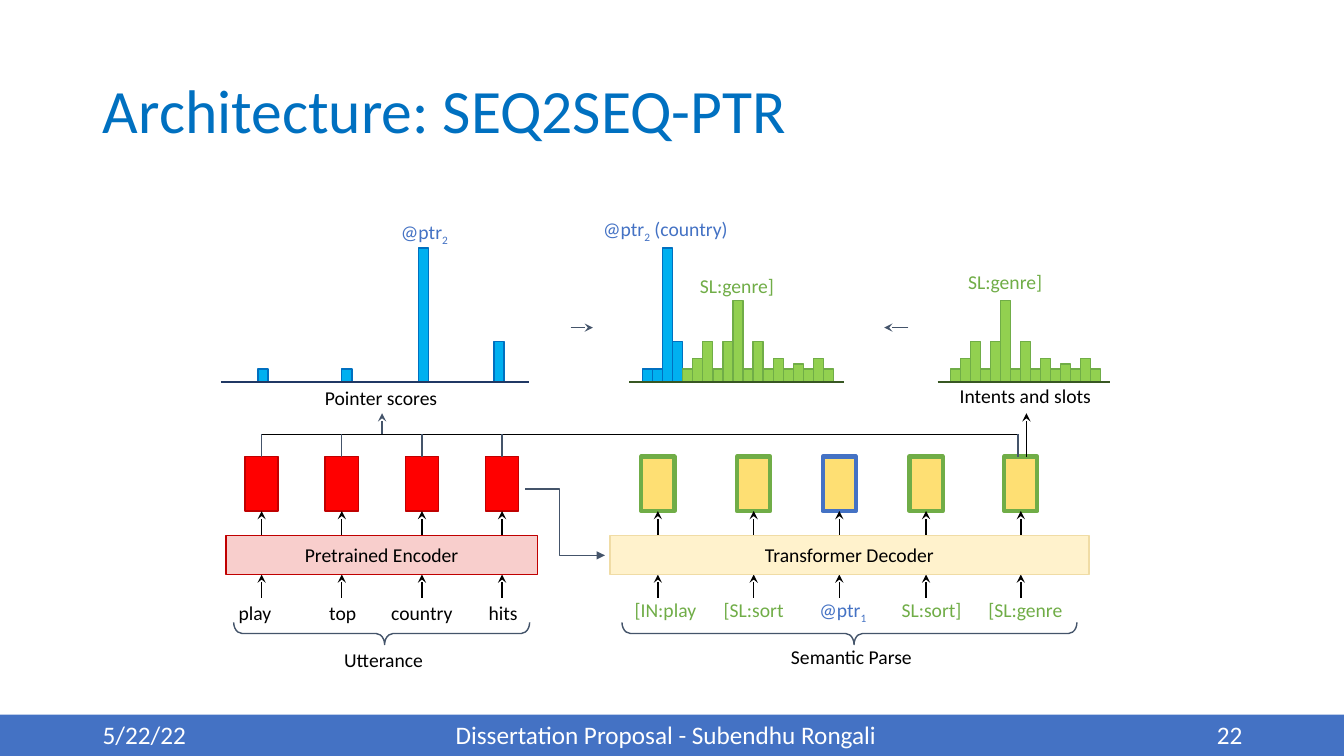
from dataclasses import dataclass

import pptx
import pptx.util
import pptx.dml.color
import pptx.enum.shapes
import pptx.enum.text
import pptx.oxml
import pptx.oxml.ns

SHAPES = pptx.enum.shapes.MSO_SHAPE
LINES = pptx.enum.shapes.MSO_CONNECTOR
ALIGN = pptx.enum.text.PP_ALIGN
ANCHOR = pptx.enum.text.MSO_ANCHOR


@dataclass(frozen=True)
class Theme:
    """Colours, font and type sizes of the slide."""
    font: str = "Calibri"
    title_size: int = 44
    footer_size: int = 18
    label_size: int = 14
    title: str = "0070C0"
    band: str = "4472C4"
    white: str = "FFFFFF"
    black: str = "000000"
    slate: str = "44546A"
    green: str = "70AD47"
    blue: str = "4472C4"
    pointer: tuple = ("00B0F0", "0070C0")
    vocabulary: tuple = ("92D050", "70AD47")
    encoder: tuple = ("F8CECC", "C00000")
    decoder: tuple = ("FFF2CC", "F0DCA5")
    encoder_state: str = "FF0000"
    decoder_state: str = "FEDF73"
    pointer_axis: str = "203864"
    vocabulary_axis: str = "385723"


@dataclass(frozen=True)
class Box:
    """A region in grid cells of a tenth of an inch."""
    left: float
    top: float
    width: float
    height: float

    @property
    def right(self):
        """Return the right edge."""
        return self.left + self.width

    @property
    def bottom(self):
        """Return the bottom edge."""
        return self.top + self.height

    def lengths(self):
        """Return left, top, width and height as slide lengths."""
        return [cells(n) for n in (self.left, self.top, self.width, self.height)]


THEME = Theme()
STATE_WIDTH, STATE_HEIGHT = 3.3, 5.4
WIRE = 43.1
VOCABULARY_SCORES = [1.3, 2.3, 4, 1.3, 4, 8.1, 1.3, 4, 1.3, 2.3, 1.3, 1.8, 1.3, 2.3, 1.3]
POINTER_SCORES = [1.3, 1.3, 13.3, 4]


def cells(count):
    """Convert grid cells to a slide length."""
    return pptx.util.Inches(count / 10)


def rgb(code):
    """Convert a hex code to a colour."""
    return pptx.dml.color.RGBColor.from_string(code)


def style(para, size, color, align=ALIGN.LEFT):
    """Format a whole paragraph."""
    para.alignment = align
    para.font.name = THEME.font
    para.font.size = pptx.util.Pt(size)
    para.font.color.rgb = rgb(color)


def shape(page, kind, box, fill, line, weight=1):
    """Draw a preset shape with an optional fill and outline."""
    item = page.shapes.add_shape(kind, *box.lengths())
    item.shadow.inherit = False
    for part, color in ((item.fill, fill), (item.line.fill, line)):
        if color:
            part.solid()
            part.fore_color.rgb = rgb(color)
        else:
            part.background()
    item.line.width = pptx.util.Pt(weight)
    return item


def connect(page, start, end, color, head=None, kind=LINES.STRAIGHT, joint=None):
    """Draw a connector, with an arrowhead at its end or a joined side if given."""
    line = page.shapes.add_connector(kind, *[cells(n) for n in (*start, *end)])
    line.line.color.rgb = rgb(color)
    line.line.width = pptx.util.Pt(1)
    if joint:
        line.end_connect(*joint)
    if head:
        tail = pptx.oxml.parse_xml(f'<a:tailEnd {pptx.oxml.ns.nsdecls("a")} type="{head}"/>')
        line.line._get_or_add_ln().append(tail)
    effects = pptx.oxml.parse_xml(f'<a:effectLst {pptx.oxml.ns.nsdecls("a")}/>')
    line._element.spPr.append(effects)
    return line


def label(page, centre, top, text, color=THEME.black, width=16):
    """Write a centred label; the character after an underscore is a subscript."""
    box = page.shapes.add_textbox(*Box(centre - width / 2, top, width, 3.4).lengths())
    frame = box.text_frame
    frame.word_wrap = True
    frame.margin_left = frame.margin_right = 0
    para = frame.paragraphs[0]
    style(para, THEME.label_size, color, ALIGN.CENTER)
    base, _, rest = text.partition("_")
    for part, offset in ((base, 0), (rest[:1], -25000), (rest[1:], 0)):
        if part:
            span = para.add_run()
            span.text = part
            if offset:
                span._r.get_or_add_rPr().set("baseline", str(offset))


def heading(page, box, text):
    """Fill and place the title."""
    title = page.shapes.title
    title.left, title.top, title.width, title.height = box.lengths()
    title.text_frame.text = text
    title.text_frame.vertical_anchor = ANCHOR.MIDDLE
    para = title.text_frame.paragraphs[0]
    para.line_spacing = 0.9
    style(para, THEME.title_size, THEME.title)


def footer(page, box, parts):
    """Draw the footer band and its texts."""
    shape(page, SHAPES.RECTANGLE, box, THEME.band, None)
    for left, width, text, align in parts:
        place = Box(box.left + left, box.top, width, 4)
        frame = page.shapes.add_textbox(*place.lengths()).text_frame
        frame.word_wrap = True
        frame.text = text
        style(frame.paragraphs[0], THEME.footer_size, THEME.white, align)


def histogram(page, box, bars, axis):
    """Draw bars of (offset, height, colours) standing on an axis."""
    for offset, height, colors in bars:
        bar = Box(box.left + offset, box.bottom - height, 1, height)
        shape(page, SHAPES.RECTANGLE, bar, *colors)
    connect(page, (box.left, box.bottom), (box.right, box.bottom), axis)


def model(page, box, name, colors, state_fill, weight, tokens, caption):
    """Draw states, block, tokens and brace; return the states and the block."""
    block_box = Box(box.left, box.top + 7.8, box.width, 3.9)
    states = []
    for offset, shift, word, color, outline in tokens:
        x = box.left + offset
        place = Box(x - STATE_WIDTH / 2, box.top, STATE_WIDTH, STATE_HEIGHT)
        state = shape(page, SHAPES.RECTANGLE, place, state_fill, outline, weight)
        connect(page, (x, block_box.top), (x, place.bottom), THEME.black, "stealth",
                joint=(state, 2))
        connect(page, (x, box.top + 14), (x, block_box.bottom), THEME.black, "stealth")
        label(page, x + shift, box.bottom - 8.1, word, color, 8)
        states.append(state)
    block = shape(page, SHAPES.RECTANGLE, block_box, *colors)
    block.text_frame.text = name
    block.text_frame.vertical_anchor = ANCHOR.MIDDLE
    style(block.text_frame.paragraphs[0], THEME.label_size, THEME.black, ALIGN.CENTER)
    span = box.width * 0.95
    middle = box.left + box.width / 2
    brace = shape(page, SHAPES.RIGHT_BRACE,
                  Box(middle - 1.1, box.top + 17.55 - span / 2, 2.2, span), None, THEME.slate)
    brace.rotation = 90
    brace.adjustments[0], brace.adjustments[1] = 0.38, 0.49
    label(page, middle + 0.2, box.bottom - 3.4, caption)
    return states


def wiring(page, encoder, decoder, states):
    """Link the states, the two models and the score charts."""
    first, last = encoder.left + 3.55, decoder.left + 40.45
    connect(page, (first, WIRE), (last, WIRE), THEME.black)
    for state in states:
        x = (state.left + state.width / 2) / cells(1)
        connect(page, (x, WIRE), (x, encoder.top), THEME.slate, joint=(state, 0))
    connect(page, (last, WIRE), (last, decoder.top), THEME.slate)
    connect(page, (last + 0.85, decoder.top), (last + 0.85, 41), THEME.black, "stealth")
    connect(page, (37.9, WIRE), (37.9, 41), THEME.slate, "stealth")
    link = connect(page, (52.1, 48.5), (60, 55.1), THEME.slate, "triangle", LINES.ELBOW)
    bend = pptx.oxml.parse_xml(
        f'<a:gd {pptx.oxml.ns.nsdecls("a")} name="adj1" fmla="val 43000"/>')
    link._element.spPr.prstGeom.get_or_add_avLst().append(bend)


def scores(page, box):
    """Draw the three score charts with their labels and the arrows between them."""
    pointer = [(at, height, THEME.pointer)
               for at, height in zip((3.7, 12, 19.6, 27.1), POINTER_SCORES)]
    vocabulary = [(1.3 + 0.99 * i, height, THEME.vocabulary)
                  for i, height in enumerate(VOCABULARY_SCORES)]
    merged = [(1.3 + i, height, THEME.pointer if i < 4 else THEME.vocabulary)
              for i, height in enumerate(POINTER_SCORES + VOCABULARY_SCORES)]
    for left, width, bars, axis in ((0, 30.6, pointer, THEME.pointer_axis),
                                    (40.5, 21.3, merged, THEME.vocabulary_axis),
                                    (71.1, 17.1, vocabulary, THEME.vocabulary_axis)):
        histogram(page, Box(box.left + left, box.top, width, box.height), bars, axis)
    for centre, top, text, color in ((20.2, 0.3, "@ptr_2", THEME.blue),
                                     (44.1, 0, "@ptr_2 (country)", THEME.blue),
                                     (51.2, 5.7, "SL:genre]", THEME.green),
                                     (77.8, 5.3, "SL:genre]", THEME.green),
                                     (15.9, 16.8, "Pointer scores", THEME.black),
                                     (79.8, 16.6, "Intents and slots", THEME.black)):
        label(page, box.left + centre, box.top + top, text, color)
    for start, end in ((34.7, 36.9), (68.2, 65.8)):
        y = box.top + 11.5
        connect(page, (box.left + start, y), (box.left + end, y), THEME.slate, "stealth")


def main():
    """Build and save the slide."""
    deck = pptx.Presentation()
    deck.slide_width, deck.slide_height = pptx.util.Inches(13.33), pptx.util.Inches(7.5)
    page = deck.slides.add_slide(deck.slide_layouts[5])
    heading(page, Box(9.2, 4, 115, 14.5), "Architecture: SEQ2SEQ-PTR")
    footer(page, Box(0, 70.9, 133.3, 4.1), (
        (9.2, 30, "5/22/22", ALIGN.LEFT),
        (44.2, 45, "Dissertation Proposal - Subendhu Rongali", ALIGN.LEFT),
        (94.2, 30, "22", ALIGN.RIGHT)))
    encoder, decoder = Box(22.4, 45.3, 30.9, 21.9), Box(60.5, 45.3, 47.5, 21.6)
    words = zip(("play", "top", "country", "hits"), (-0.65, 0.1, 0, 0.1))
    utterance = [(3.55 + 7.95 * i, shift, word, THEME.black, THEME.encoder[1])
                 for i, (word, shift) in enumerate(words)]
    parse = [(offset, shift, word, color, color) for offset, shift, word, color in (
        (4.75, 0.75, "[IN:play", THEME.green), (14.25, 0, "[SL:sort", THEME.green),
        (22.75, 0.35, "@ptr_1", THEME.blue), (31.35, 0.55, "SL:sort]", THEME.green),
        (40.75, 0.45, "[SL:genre", THEME.green))]
    states = model(page, encoder, "Pretrained Encoder", THEME.encoder,
                   THEME.encoder_state, 1, utterance, "Utterance")
    model(page, decoder, "Transformer Decoder", THEME.decoder,
          THEME.decoder_state, 3, parse, "Semantic Parse")
    wiring(page, encoder, decoder, states)
    scores(page, Box(21.9, 21, 88.2, 16.9))
    deck.save("out.pptx")


if __name__ == "__main__":
    main()
